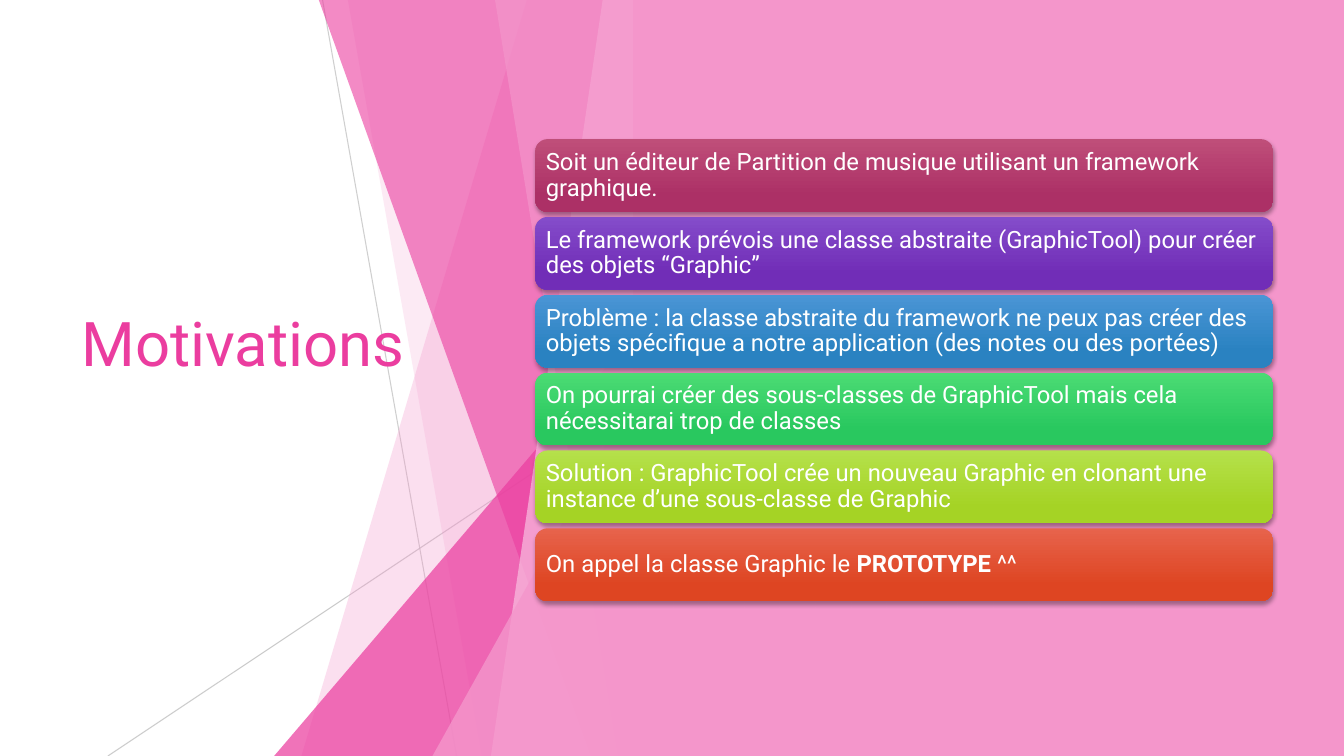
from lxml.etree import SubElement
from pptx import Presentation
from pptx.dml.color import RGBColor
from pptx.enum.shapes import MSO_CONNECTOR, MSO_SHAPE
from pptx.enum.text import MSO_ANCHOR, PP_ALIGN
from pptx.oxml.ns import qn
from pptx.util import Pt

HEADING = "Motivations"
STEPS = [
    ("BF4E79", "AC3066", ["Soit un éditeur de Partition de musique utilisant un framework graphique."]),
    ("844CCA", "712DB7", ["Le framework prévois une classe abstraite (GraphicTool) pour créer des objets “Graphic”"]),
    ("4A95D5", "2A82C1", ["Problème : la classe abstraite du framework ne peux pas créer des objets spécifique a notre application (des notes ou des portées)"]),
    ("4BDB74", "29C85F", ["On pourrai créer des sous-classes de GraphicTool mais cela nécessitarai trop de classes"]),
    ("B5E14B", "A5D325", ["Solution : GraphicTool crée un nouveau Graphic en clonant une instance d’une sous-classe de Graphic"]),
    ("E7634C", "DE4522", ["On appel la classe Graphic le ", "PROTOTYPE", " ^^"]),
]
EMPHASIS = "PROTOTYPE"

THEME = {
    "font": "Roboto", "heading_size": 44, "step_size": 17,
    "pink": "F496CB", "magenta": "EB3D9F", "pale": "F8C0E0",
    "ray": "BFBFBF", "white": "FFFFFF", "shadow": "000000",
}

WIDTH, HEIGHT = 960, 540
PANEL_LEFT = 452.16
RAYS = [((230.4, 0), (326.16, HEIGHT), 75), ((PANEL_LEFT, 290.16), (77.04, HEIGHT), 80)]
FACETS = [
    ("band", 376.56, 215.28, "pink", 30),
    ("band", 248.4, 344.16, "pink", 20),
    ("peak", 195.84, 239.76, "magenta", 72),
    ("band", 227.52, 421.92, "magenta", 60),
    ("band", 430.56, 350.64, "pale", 70),
    ("band", 353.52, 441.36, "pink", 65),
    ("peak", 308.88, 282.96, "pink", 80),
]
STEP_LEFT, STEP_TOP, STEP_WIDTH, STEP_HEIGHT, STEP_PITCH = 382.4, 99.4, 527, 52, 55.6


def rgb(code):
    return RGBColor.from_string(THEME.get(code, code))


def set_opacity(color_parent, percent):
    tint = next(color_parent.iter(qn("a:srgbClr")))
    SubElement(tint, qn("a:alpha"), val=str(percent * 1000))


def paint(part, color, opacity=100):
    part.shadow.inherit = False
    part.fill.solid()
    part.fill.fore_color.rgb = rgb(color)
    part.line.fill.background()
    if opacity < 100:
        set_opacity(part._element.spPr, opacity)


def write(paragraph, words, size, color, bold=False):
    run = paragraph.add_run()
    run.text = words
    run.font.name = THEME["font"]
    run.font.size = Pt(size)
    run.font.bold = bold
    run.font.color.rgb = rgb(color)


def add_ray(start, end, opacity):
    ray = shapes.add_connector(MSO_CONNECTOR.STRAIGHT, *map(Pt, start + end))
    ray.line.width = Pt(0.75)
    ray.line.color.rgb = rgb("ray")
    set_opacity(ray._element.spPr, opacity)
    SubElement(ray._element.spPr, qn("a:effectLst"))


def add_band(top_left, bottom_left):
    outline = shapes.build_freeform(Pt(top_left), Pt(-0.6))
    corners = [(PANEL_LEFT, -0.6), (PANEL_LEFT, HEIGHT), (bottom_left, HEIGHT)]
    outline.add_line_segments([(Pt(x), Pt(y)) for x, y in corners], close=True)
    return outline.convert_to_shape()


def add_peak(left, top):
    peak = shapes.add_shape(MSO_SHAPE.ISOSCELES_TRIANGLE, Pt(left), Pt(top),
                            Pt(PANEL_LEFT - left), Pt(HEIGHT - top))
    peak.adjustments[0] = 1
    return peak


def add_step(index, light, deep, pieces):
    step = shapes.add_shape(MSO_SHAPE.ROUNDED_RECTANGLE, Pt(STEP_LEFT),
                            Pt(STEP_TOP + index * STEP_PITCH), Pt(STEP_WIDTH), Pt(STEP_HEIGHT))
    step.line.fill.background()
    step.fill.gradient()
    step.fill.gradient_angle = 270
    for stop, position, color in zip(step.fill.gradient_stops, (0, 0.78), (light, deep)):
        stop.position = position
        stop.color.rgb = rgb(color)

    step.shadow.inherit = False
    effects = step._element.spPr.find(qn("a:effectLst"))
    shadow = SubElement(effects, qn("a:outerShdw"), blurRad=str(Pt(3)), dist=str(Pt(2)),
                        dir="5400000", rotWithShape="0")
    SubElement(shadow, qn("a:srgbClr"), val=THEME["shadow"])
    set_opacity(shadow, 35)

    frame = step.text_frame
    frame.word_wrap = True
    frame.vertical_anchor = MSO_ANCHOR.MIDDLE
    frame.margin_left = frame.margin_right = frame.margin_top = frame.margin_bottom = Pt(5)
    paragraph = frame.paragraphs[0]
    paragraph.alignment = PP_ALIGN.LEFT
    paragraph.line_spacing = 0.9
    for piece in pieces:
        write(paragraph, piece, THEME["step_size"], "white", piece == EMPHASIS)


deck = Presentation()
deck.slide_width, deck.slide_height = Pt(WIDTH), Pt(HEIGHT)
slide = deck.slides.add_slide(deck.slide_layouts[6])
shapes = slide.shapes
slide.background.fill.solid()
slide.background.fill.fore_color.rgb = rgb("white")

for ray in RAYS:
    add_ray(*ray)

FACET_BUILDERS = {"band": add_band, "peak": add_peak}
for kind, first, second, color, opacity in FACETS:
    paint(FACET_BUILDERS[kind](first, second), color, opacity)

heading = shapes.add_textbox(Pt(51.1), Pt(108.7), Pt(279.4), Pt(271)).text_frame
heading.word_wrap = True
heading.vertical_anchor = MSO_ANCHOR.MIDDLE
write(heading.paragraphs[0], HEADING, THEME["heading_size"], "magenta")

panel = shapes.add_shape(MSO_SHAPE.RECTANGLE, Pt(PANEL_LEFT), 0, Pt(WIDTH - PANEL_LEFT), Pt(HEIGHT))
paint(panel, "pink")

for index, step in enumerate(STEPS):
    add_step(index, *step)

deck.save("out.pptx")
